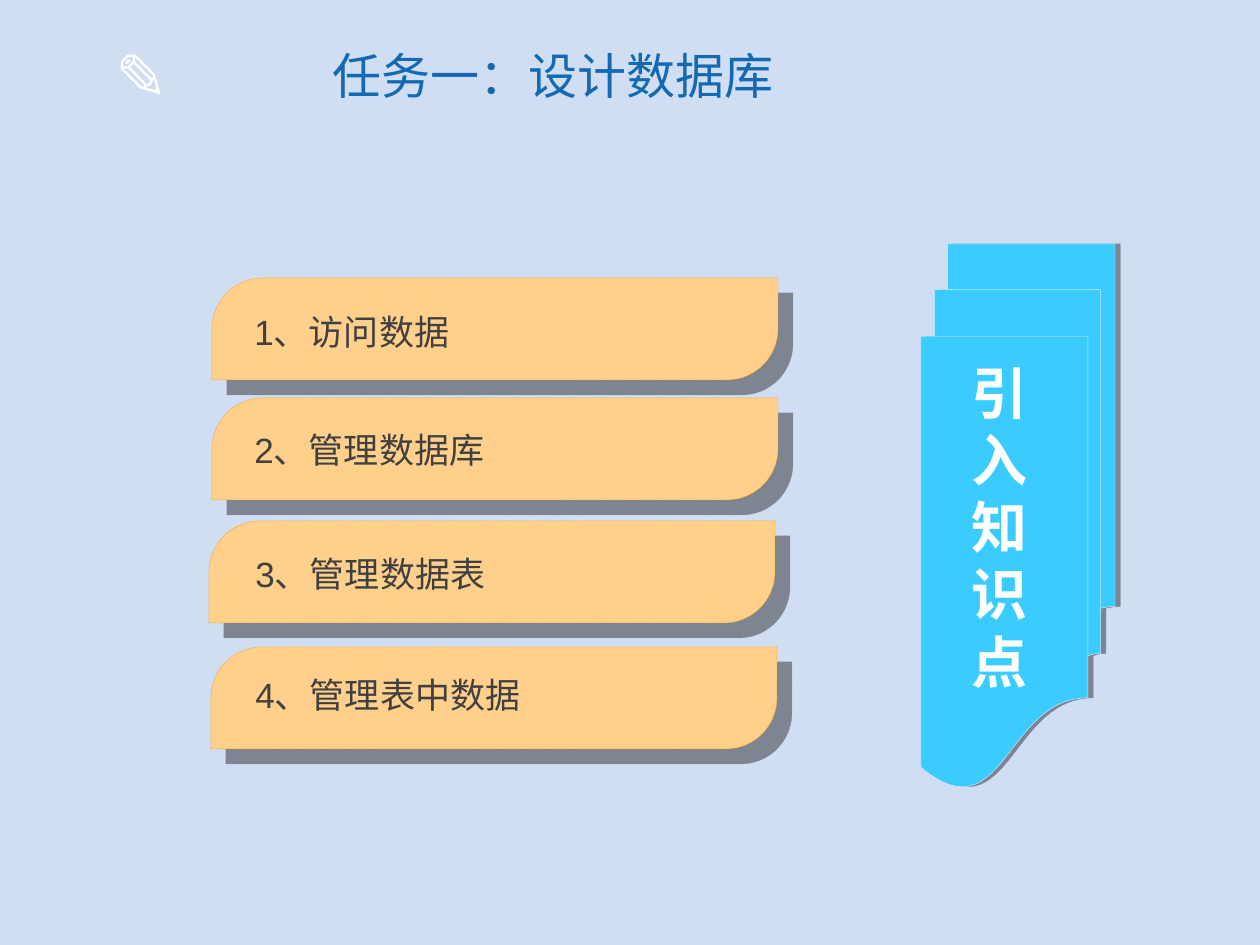
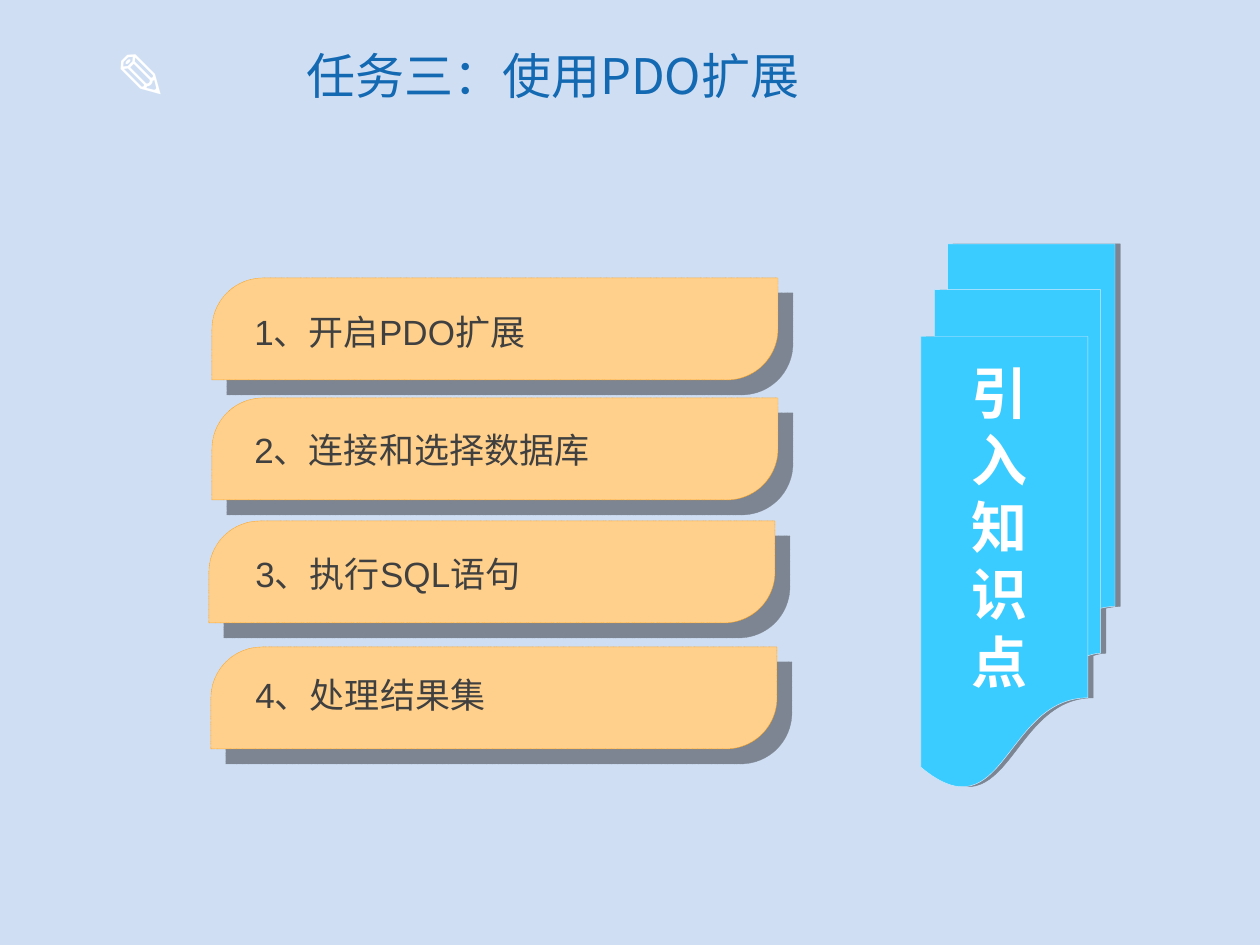
"""Build two topic slides, each with a title, four bars and a side flag."""
from pptx import Presentation
from pptx.dml.color import RGBColor as Rgb
from pptx.enum.dml import MSO_LINE as Dash
from pptx.enum.shapes import MSO_SHAPE as Kind
from pptx.enum.text import MSO_ANCHOR as Anchor, MSO_AUTO_SIZE as Auto, PP_ALIGN as Align
from pptx.oxml.ns import qn
from pptx.util import Emu, Pt
from lxml.etree import SubElement as Sub

TOPICS = [
    ("任务一：设计数据库",
     ["1、访问数据", "2、管理数据库", "3、管理数据表", "4、管理表中数据"]),
    ("任务三：使用PDO扩展",
     ["1、开启PDO扩展", "2、连接和选择数据库", "3、执行SQL语句", "4、处理结果集"]),
]
FLAG = "引入知识点"
ICON = "✎"

THEME = {
    "back": "CFDEF3", "title": "1369B2", "text": "404040", "white": "FFFFFF",
    "bar": "FFD08B", "bar_edge": "FF9D0D", "flag": "3BCCFF", "flag_edge": "D5EBFF",
    "shade": "000000", "latin": "Arial", "cjk": "Noto Sans CJK SC",
    "title_pt": 28, "text_pt": 20, "flag_pt": 32, "icon_pt": 36, "edge_pt": 0.25,
}

ICON_BOX = (103, 30, 92, 88)
TITLE_BOX = (228, 21, 650, 107)
FLAG_BOX = (921, 244, 194, 544)
FLAG_TEXT = (959, 352, 76, 349)
BAR_SIZE = (566, 102)
TEXT_SIZE = (499, 55)
BAR_AT = [(212, 278), (212, 398), (209, 521), (211, 647)]
TEXT_AT = [(242, 304), (242, 422), (243, 546), (243, 667)]


def px(*nums):
    """Turn px lengths into EMU."""
    return [Emu(round(num * 914400 / 126)) for num in nums]


def tint(name):
    """Return a theme colour."""
    return Rgb.from_string(THEME[name])


def shade(shape, dist, angle):
    """Give a shape a hard translucent shadow."""
    shape.shadow.inherit = False
    effects = shape.element.spPr.find(qn("a:effectLst"))
    outer = Sub(effects, qn("a:outerShdw"), blurRad="0", dist=str(Pt(dist)),
                dir=str(angle * 60000), algn="ctr", rotWithShape="0")
    color = Sub(outer, qn("a:srgbClr"), val=THEME["shade"])
    Sub(color, qn("a:alpha"), val="40000")


def panel(slide, kind, box, name, dist, angle):
    """Add a filled shape with a thin edge and a shadow."""
    shape = slide.shapes.add_shape(kind, *px(*box))
    shape.fill.solid()
    shape.fill.fore_color.rgb = tint(name)
    shape.line.color.rgb = tint(name + "_edge")
    shape.line.width = Pt(THEME["edge_pt"])
    shade(shape, dist, angle)
    return shape


def write(slide, box, text, size, color, face="latin", bold=False, wrap=True):
    """Add a one-paragraph text box and return its frame."""
    frame = slide.shapes.add_textbox(*px(*box)).text_frame
    frame.word_wrap = wrap
    frame.auto_size = Auto.SHAPE_TO_FIT_TEXT
    frame.text = text
    run = frame.paragraphs[0].runs[0]
    font = run.font
    font.size, font.bold = Pt(THEME[size]), bold
    font.color.rgb = tint(color)
    font.name = THEME[face]
    Sub(run._r.get_or_add_rPr(), qn("a:ea"), typeface=THEME["cjk"])
    return frame


def draw(slide, title, items):
    """Draw one topic slide."""
    write(slide, ICON_BOX, ICON, "icon_pt", "white", "cjk", bold=True, wrap=False)
    panel(slide, Kind.FLOWCHART_MULTIDOCUMENT, FLAG_BOX, "flag", 3, 0)
    write(slide, FLAG_TEXT, FLAG, "flag_pt", "white", bold=True)
    for spot in BAR_AT:
        bar = panel(slide, Kind.ROUND_2_DIAG_RECTANGLE, spot + BAR_SIZE, "bar", 12.1, 45)
        bar.adjustments[0] = 0.5
        bar.line.dash_style = Dash.ROUND_DOT
    for spot, item in zip(TEXT_AT, items):
        write(slide, spot + TEXT_SIZE, item, "text_pt", "text")
    head = write(slide, TITLE_BOX, title, "title_pt", "title", "cjk")
    head.auto_size = Auto.NONE
    head.vertical_anchor = Anchor.MIDDLE
    head.paragraphs[0].alignment = Align.CENTER


def main():
    """Build and save the deck."""
    deck = Presentation()
    deck.slide_width, deck.slide_height = px(1260, 945)
    fill = deck.slide_master.background.fill
    fill.solid()
    fill.fore_color.rgb = tint("back")
    for title, items in TOPICS:
        draw(deck.slides.add_slide(deck.slide_layouts[6]), title, items)
    deck.save("out.pptx")


if __name__ == "__main__":
    main()
